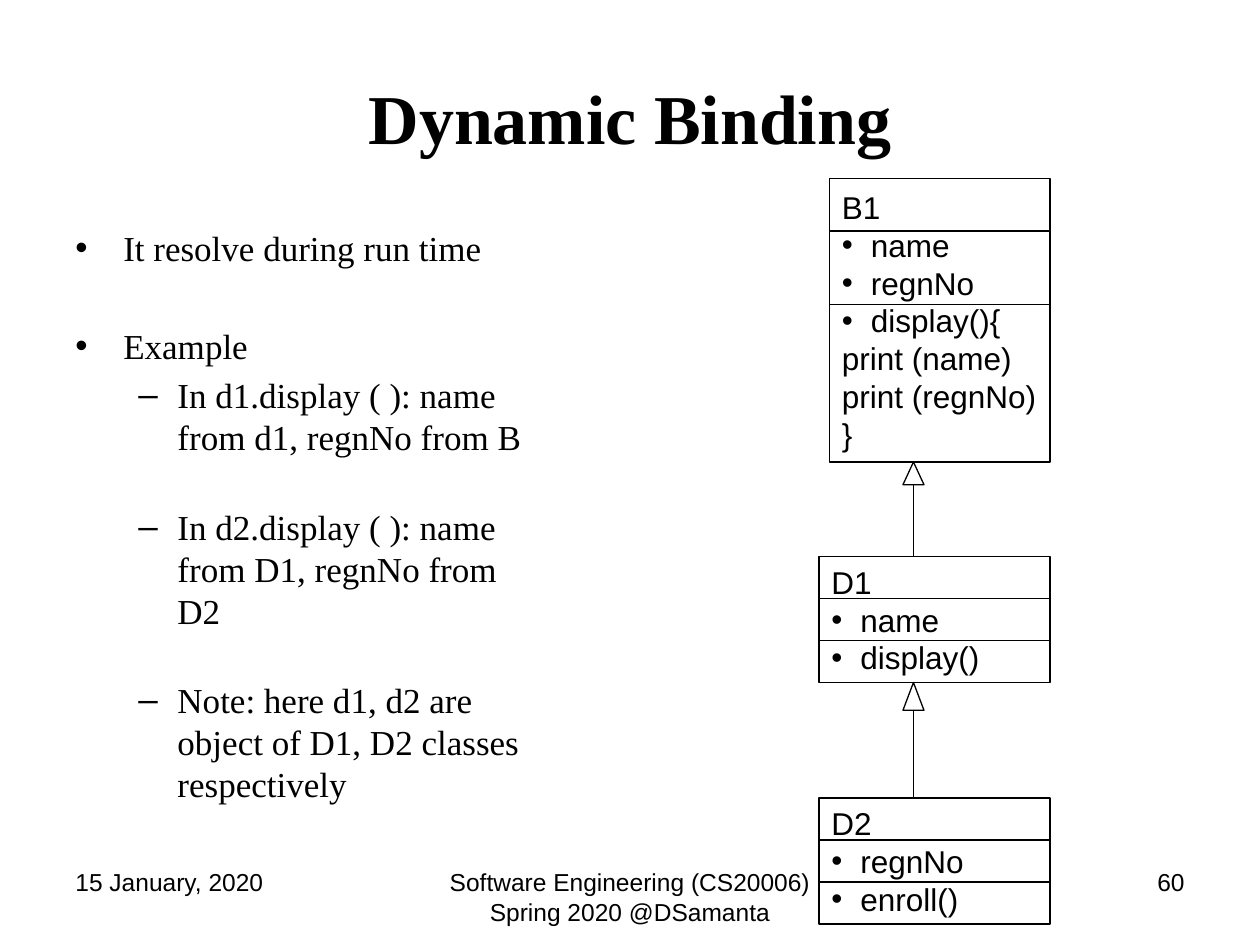
import pptx
import pptx.dml.color
import pptx.enum.shapes
import pptx.enum.text
import pptx.oxml
import pptx.util

COLUMNS, ROWS = 120, 90
WIDTH, HEIGHT = pptx.util.Inches(10), pptx.util.Inches(7.5)
BLACK = "000000"
ALIGN = pptx.enum.text.PP_ALIGN
ANCHOR = pptx.enum.text.MSO_ANCHOR
SHAPES = pptx.enum.shapes.MSO_SHAPE


def color(value):
    """Turn a hex string into a colour."""
    return pptx.dml.color.RGBColor.from_string(value)


def place(column, row, width, height):
    """Turn grid units into slide lengths."""
    return (round(column * WIDTH / COLUMNS), round(row * HEIGHT / ROWS),
            round(width * WIDTH / COLUMNS), round(height * HEIGHT / ROWS))


def add_span(para, text, size, font="Arial", bold=False):
    """Add one formatted run to a paragraph."""
    span = para.add_run()
    span.text = text
    span.font.name = font
    span.font.size = pptx.util.Pt(size)
    span.font.bold = bold
    span.font.color.rgb = color(BLACK)


def add_bullet(para, mark, left, hang):
    """Give a paragraph a bullet with a hanging indent in inches."""
    properties = para._p.get_or_add_pPr()
    properties.set("marL", str(pptx.util.Inches(left)))
    properties.set("indent", str(-pptx.util.Inches(hang)))
    for tag, name, value in (("buFont", "typeface", "Arial"), ("buChar", "char", mark)):
        bullet = pptx.oxml.parse_xml(
            f'<a:{tag} xmlns:a="http://schemas.openxmlformats.org/drawingml/2006/main" {name}="{value}"/>')
        properties.append(bullet)


def next_para(frame, index):
    """Return the first paragraph, or a new one after it."""
    return frame.add_paragraph() if index else frame.paragraphs[0]


def add_title(page, text):
    """Place and fill the title placeholder."""
    title = page.shapes.title
    title.left, title.top, title.width, title.height = place(6, 3.6, 108, 15)
    title.text_frame.vertical_anchor = ANCHOR.MIDDLE
    para = title.text_frame.paragraphs[0]
    para.alignment = ALIGN.CENTER
    add_span(para, text, 40, "Times New Roman", True)


def add_body(page, items):
    """Add the bulleted text at two levels."""
    box = page.shapes.add_textbox(*place(6, 21, 46, 59.4))
    box.text_frame.word_wrap = True
    for index, (level, space, text) in enumerate(items):
        para = next_para(box.text_frame, index)
        para.level = level
        para.space_before = pptx.util.Pt(space)
        add_bullet(para, *(("•", 0.38, 0.38), ("–", 0.81, 0.31))[level])
        add_span(para, text, 20, "Times New Roman")


def add_footer(page, column, width, text, alignment):
    """Add one footer text."""
    box = page.shapes.add_textbox(*place(column, 82, width, 6.25))
    box.text_frame.word_wrap = True
    para = box.text_frame.paragraphs[0]
    para.alignment = alignment
    add_span(para, text, 14)


def add_outline(page, kind, *area):
    """Add an unfilled shape with a thin black outline."""
    shape = page.shapes.add_shape(kind, *place(*area))
    shape.shadow.inherit = False
    shape.fill.background()
    shape.line.color.rgb = color(BLACK)
    shape.line.width = pptx.util.Pt(0.75)
    return shape


def add_line(page, start, end):
    """Add a thin black line between two grid points."""
    line = page.shapes.add_connector(
        pptx.enum.shapes.MSO_CONNECTOR.STRAIGHT, *place(*start, *end))
    line.line.color.rgb = color(BLACK)
    line.line.width = pptx.util.Pt(0.75)
    line._element.spPr.append(pptx.oxml.parse_xml(
        '<a:effectLst xmlns:a="http://schemas.openxmlformats.org/drawingml/2006/main"/>'))
    return line


def add_class(page, column, row, height, dividers, lines):
    """Add a class box that ends at the shared right edge."""
    right = 100
    box = add_outline(page, SHAPES.RECTANGLE, column, row, right - column, height)
    frame = box.text_frame
    frame.word_wrap = False
    frame.vertical_anchor = ANCHOR.MIDDLE
    for index, (marked, text) in enumerate(lines):
        para = next_para(frame, index)
        para.alignment = ALIGN.LEFT
        if marked:
            add_bullet(para, "•", 0.23, 0.23)
        add_span(para, text, 18)
    for offset in dividers:
        add_line(page, (column, row + offset), (right, row + offset))


def add_inheritance(page, parent_bottom, child_top):
    """Add a hollow triangle under the parent and a line to the child."""
    center = 87
    height = 0.24 * (child_top - parent_bottom)
    triangle = add_outline(page, SHAPES.FLOWCHART_EXTRACT,
                           center - 1, parent_bottom, 2, height)
    line = add_line(page, (center, parent_bottom + height), (center, child_top))
    line.begin_connect(triangle, 2)


def main():
    """Build and save the slide."""
    deck = pptx.Presentation()
    deck.slide_width, deck.slide_height = WIDTH, HEIGHT
    page = deck.slides.add_slide(deck.slide_layouts.get_by_name("Title Only"))
    add_title(page, "Dynamic Binding")
    add_body(page, [
        (0, 4, "It resolve during run time"),
        (0, 32, "Example"),
        (1, 4, "In d1.display ( ): name from d1, regnNo from B"),
        (1, 27, "In d2.display ( ): name from D1, regnNo from D2"),
        (1, 27, "Note: here d1, d2 are object of D1, D2 classes respectively"),
    ])
    add_class(page, 79, 17, 27, (5, 12), [
        (False, "B1"), (True, "name"), (True, "regnNo"), (True, "display(){"),
        (False, "print (name)"), (False, "print (regnNo)"), (False, "}")])
    for row, name, field, method in ((53, "D1", "name", "display()"),
                                     (76, "D2", "regnNo", "enroll()")):
        add_class(page, 78, row, 12, (4, 8),
                  [(False, name), (True, field), (True, method)])
    add_inheritance(page, 44, 53)
    add_inheritance(page, 65, 76)
    add_footer(page, 6, 28, "15 January, 2020", ALIGN.LEFT)
    add_footer(page, 41, 38, "Software Engineering (CS20006) Spring 2020 @DSamanta", ALIGN.CENTER)
    add_footer(page, 86, 28, "60", ALIGN.RIGHT)
    deck.save("out.pptx")


if __name__ == "__main__":
    main()
